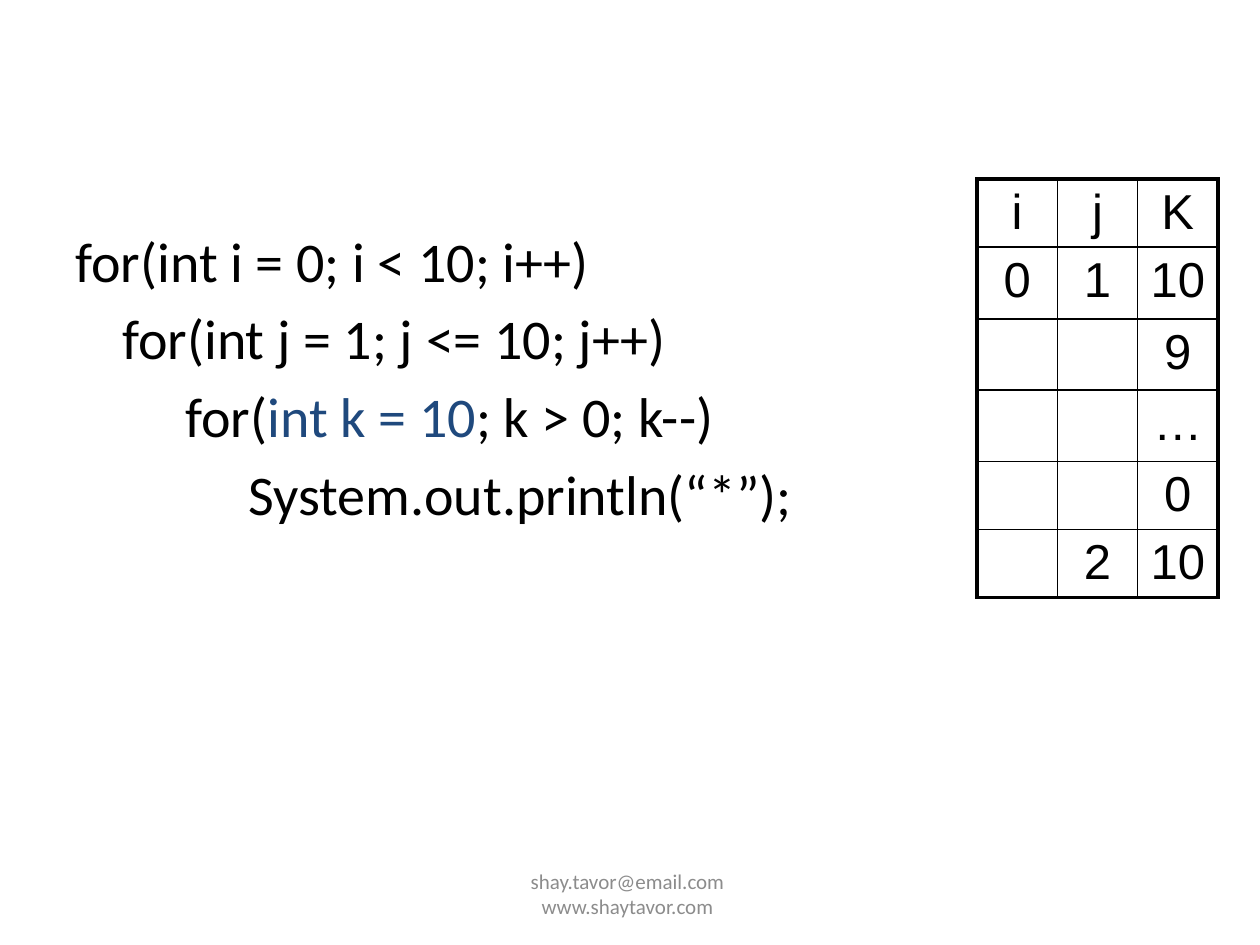
import dataclasses
import typing

import lxml.etree
import pptx
import pptx.dml.color
import pptx.enum.text
import pptx.oxml.ns
import pptx.util

BLACK = pptx.dml.color.RGBColor(0x00, 0x00, 0x00)
BLUE = pptx.dml.color.RGBColor(0x1F, 0x49, 0x7D)
GRAY = pptx.dml.color.RGBColor(0x8C, 0x8C, 0x8C)
SCALE = 914400 / 126
CENTER = pptx.enum.text.PP_ALIGN.CENTER
THICK, THIN = 2.25, 1


@dataclasses.dataclass
class Box:
    left: int
    top: int
    width: int
    height: int


class Part(typing.NamedTuple):
    text: str
    color: pptx.dml.color.RGBColor = BLACK


CODE = [
    [Part("for(int i = 0; i < 10; i++)")],
    [Part("\tfor(int j = 1; j <= 10; j++)")],
    [Part("\t\tfor("), Part("int k = 10", BLUE), Part("; k > 0; k--)")],
    [Part("\t\t\tSystem.out.println(“*”);")],
]
TRACE = [
    ["i", "j", "K"],
    ["0", "1", "10"],
    ["", "", "9"],
    ["", "", "…"],
    ["", "", "0"],
    ["", "2", "10"],
]
ROWS = [66, 72, 71, 72, 67, 67]


def px(count: int) -> pptx.util.Emu:
    return pptx.util.Emu(round(count * SCALE))


def place(box: Box) -> list[pptx.util.Emu]:
    return [px(size) for size in dataclasses.astuple(box)]


def style(para, name: str, size: int) -> None:
    para.font.name = name
    para.font.size = pptx.util.Pt(size)


def edge(cell, side: str, width: float) -> None:
    qn = pptx.oxml.ns.qn
    line = lxml.etree.SubElement(
        cell._tc.get_or_add_tcPr(), qn(f"a:ln{side}"), w=str(pptx.util.Pt(width))
    )
    fill = lxml.etree.SubElement(line, qn("a:solidFill"))
    lxml.etree.SubElement(fill, qn("a:srgbClr"), val=str(BLACK))


def draw_code(slide, box: Box) -> None:
    frame = slide.shapes.add_textbox(*place(box)).text_frame
    frame.word_wrap = True
    for pos, parts in enumerate(CODE):
        para = frame.add_paragraph() if pos else frame.paragraphs[0]
        props = para._p.get_or_add_pPr()
        props.set("marL", str(px(47)))
        props.set("indent", str(px(-47)))
        para.space_before = pptx.util.Pt(6 if pos else 0)
        style(para, "Calibri", 32)
        for part in parts:
            run = para.add_run()
            run.text = part.text
            run.font.color.rgb = part.color


def draw_trace(slide, box: Box) -> None:
    rows, cols = len(TRACE), len(TRACE[0])
    table = slide.shapes.add_table(rows, cols, *place(box)).table
    table.first_row = table.horz_banding = False
    for row, high in zip(table.rows, ROWS):
        row.height = px(high)
    for y, line in enumerate(TRACE):
        for x, text in enumerate(line):
            cell = table.cell(y, x)
            cell.margin_top, cell.margin_bottom = px(6), px(3)
            outer = {"L": x == 0, "R": x == cols - 1, "T": y == 0, "B": y == rows - 1}
            for side, thick in outer.items():
                edge(cell, side, THICK if thick else THIN)
            cell.fill.background()
            para = cell.text_frame.paragraphs[0]
            para.text = text
            para.alignment = CENTER
            style(para, "Arial", 28)
            para.font.color.rgb = BLACK


def draw_foot(slide, box: Box) -> None:
    frame = slide.shapes.add_textbox(*place(box)).text_frame
    frame.word_wrap = True
    frame.vertical_anchor = pptx.enum.text.MSO_ANCHOR.MIDDLE
    para = frame.paragraphs[0]
    para.text = "shay.tavor@email.com\vwww.shaytavor.com"
    para.alignment = CENTER
    style(para, "Calibri", 12)
    para.font.color.rgb = GRAY


def main() -> None:
    """Build the nested loop slide with its trace table."""
    deck = pptx.Presentation()
    deck.slide_width, deck.slide_height = px(1260), px(945)
    slide = deck.slides.add_slide(deck.slide_layouts[6])
    draw_foot(slide, Box(428, 861, 399, 66))
    draw_trace(slide, Box(977, 179, 241, sum(ROWS)))
    draw_code(slide, Box(63, 220, 850, 347))
    deck.save("out.pptx")


if __name__ == "__main__":
    main()
